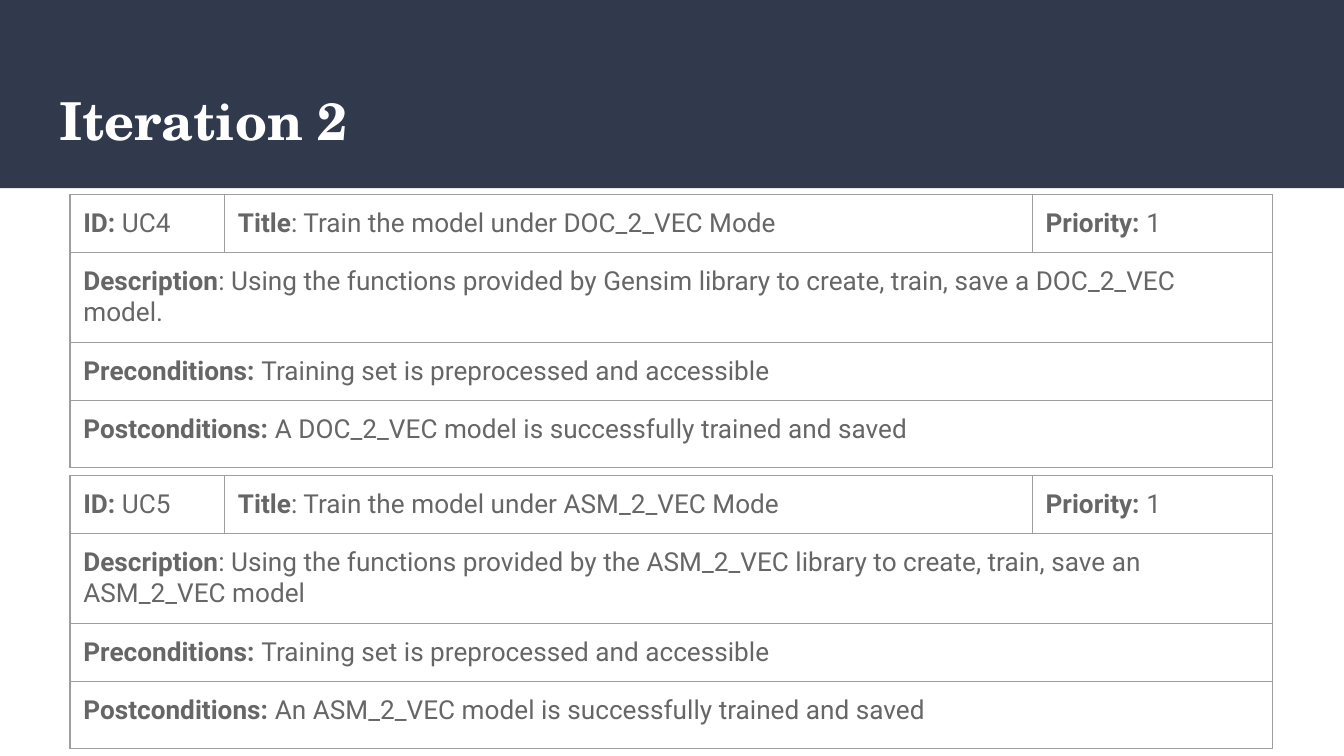
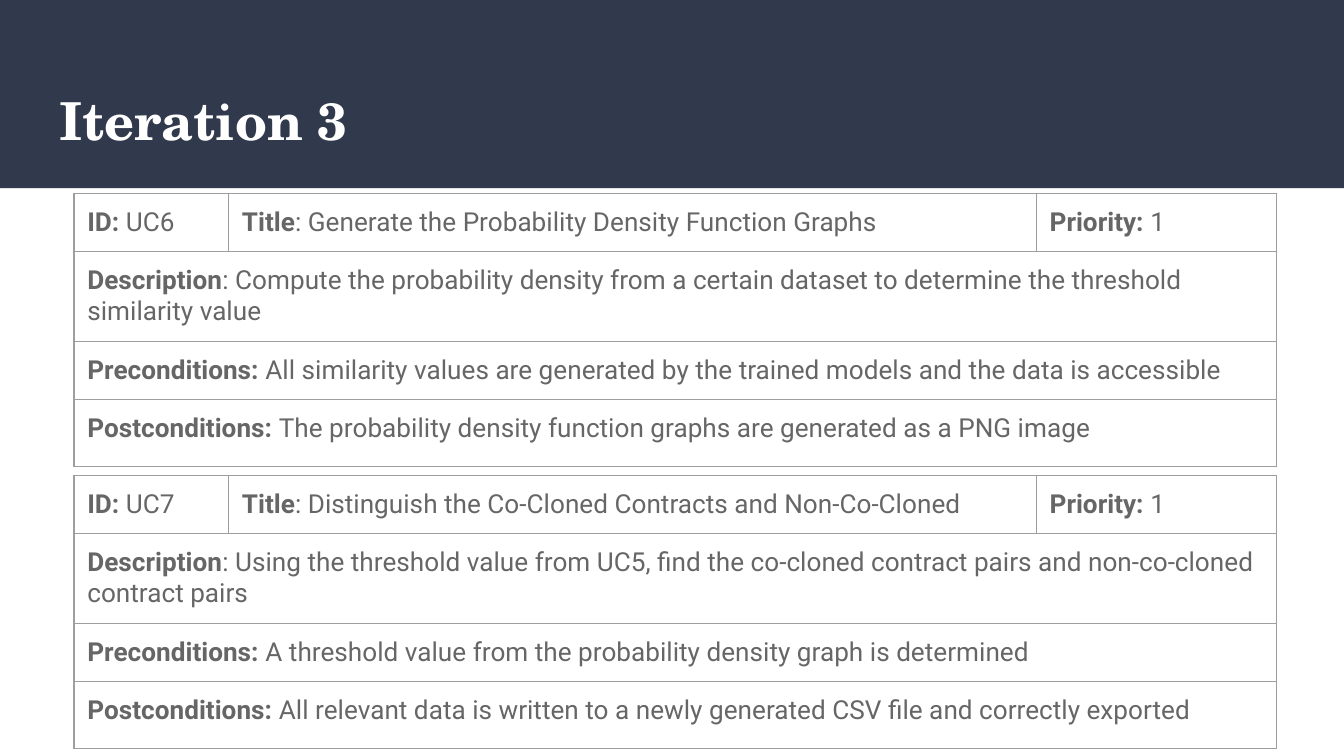
from lxml import etree
from pptx import Presentation
from pptx.dml.color import RGBColor
from pptx.enum.shapes import MSO_SHAPE
from pptx.enum.text import MSO_ANCHOR, PP_ALIGN
from pptx.oxml.ns import qn
from pptx.util import Inches, Pt

RECT = MSO_SHAPE.RECTANGLE
MIDDLE, TOP = MSO_ANCHOR.MIDDLE, MSO_ANCHOR.TOP
LEFT = PP_ALIGN.LEFT
TITLE_ONLY = 5

COLORS = {"band": "31394D", "title": "FFFFFF", "text": "666666", "border": "9E9E9E"}
TITLE_FONT, BODY_FONT = "TeX Gyre Schola", "Roboto"
COL_WIDTHS = [1.15, 3.78, 1.4, 0.83, 1.79]
ROW_HEIGHTS = [0.43, 0.67, 0.43, 0.5]
LAST_COL = len(COL_WIDTHS) - 1

# Each slide: title, table left, and use cases as
# (top, id, title, description, preconditions, postconditions)
SLIDES = [
    ("Iteration 2", 0.52, [
        (1.45, "UC4", "Train the model under DOC_2_VEC Mode",
         "Using the functions provided by Gensim library to create, train, save a DOC_2_VEC model.",
         "Training set is preprocessed and accessible",
         "A DOC_2_VEC model is successfully trained and saved"),
        (3.54, "UC5", "Train the model under ASM_2_VEC Mode",
         "Using the functions provided by the ASM_2_VEC library to create, train, save an "
         "ASM_2_VEC model",
         "Training set is preprocessed and accessible",
         "An ASM_2_VEC model is successfully trained and saved"),
    ]),
    ("Iteration 3", 0.55, [
        (1.44, "UC6", "Generate the Probability Density Function Graphs",
         "Compute the probability density from a certain dataset to determine the threshold "
         "similarity value",
         "All similarity values are generated by the trained models and the data is accessible",
         "The probability density function graphs are generated as a PNG image"),
        (3.54, "UC7", "Distinguish the Co-Cloned Contracts and Non-Co-Cloned",
         "Using the threshold value from UC5, find the co-cloned contract pairs and "
         "non-co-cloned contract pairs",
         "A threshold value from the probability density graph is determined",
         "All relevant data is written to a newly generated CSV file and correctly exported"),
    ]),
]


class Deck:
    def __init__(self):
        self.prs = Presentation()
        self.prs.slide_width = Inches(10)
        self.prs.slide_height = Inches(10) * 9 // 16
        self.s = None

    def add_slide(self, title):
        self.s = self.prs.slides.add_slide(self.prs.slide_layouts[TITLE_ONLY])
        self.band()
        self.title(title)

    def band(self):
        sp = self.s.shapes.add_shape(RECT, 0, 0, self.prs.slide_width, Inches(1.4))
        sp.shadow.inherit = False
        sp.fill.solid()
        sp.fill.fore_color.rgb = RGBColor.from_string(COLORS["band"])
        sp.line.fill.background()
        # Behind the title placeholder
        self.s.shapes.element.insert(2, sp.element)

    def title(self, text):
        sp = self.s.shapes.title
        sp.left, sp.top, sp.width, sp.height = map(Inches, (0.34, 0.55, 9.32, 0.68))
        tf = sp.text_frame
        tf.margin_left = tf.margin_right = tf.margin_top = tf.margin_bottom = Inches(0.1)
        tf.vertical_anchor, tf.word_wrap = MIDDLE, True
        p = tf.paragraphs[0]
        p.alignment = LEFT
        self.run(p, text, TITLE_FONT, 28, "title", True)

    def run(self, p, text, font, size, color, bold):
        r = p.add_run()
        r.text = text
        r.font.name, r.font.size, r.font.bold = font, Pt(size), bold
        r.font.color.rgb = RGBColor.from_string(COLORS[color])

    def borders(self, cell):
        tcPr = cell._tc.get_or_add_tcPr()
        for side in ("lnL", "lnR", "lnT", "lnB"):
            ln = etree.SubElement(tcPr, qn(f"a:{side}"), w=str(Pt(0.75)))
            fill = etree.SubElement(ln, qn("a:solidFill"))
            etree.SubElement(fill, qn("a:srgbClr"), val=COLORS["border"])

    def labelled(self, cell, label, text):
        """Write a bold label followed by plain text."""
        p = cell.text_frame.paragraphs[0]
        self.run(p, label, BODY_FONT, 14, "text", True)
        self.run(p, text, BODY_FONT, 14, "text", False)

    def use_case(self, left, top, uid, name, description, before, after):
        frame = self.s.shapes.add_table(
            len(ROW_HEIGHTS), len(COL_WIDTHS), Inches(left), Inches(top),
            Inches(sum(COL_WIDTHS)), Inches(sum(ROW_HEIGHTS)))
        table = frame.table
        table.first_row = table.horz_banding = False
        for col, width in zip(table.columns, COL_WIDTHS):
            col.width = Inches(width)
        for row, height in zip(table.rows, ROW_HEIGHTS):
            row.height = Inches(height)
        for cell in table.iter_cells():
            self.borders(cell)
            cell.fill.background()
            cell.margin_left = cell.margin_right = Inches(0.1)
            cell.margin_top = cell.margin_bottom = Inches(0.1)
            cell.vertical_anchor = TOP

        table.cell(0, 1).merge(table.cell(0, LAST_COL - 1))
        self.labelled(table.cell(0, 0), "ID: ", uid)
        self.labelled(table.cell(0, 1), "Title", f": {name}")
        self.labelled(table.cell(0, LAST_COL), "Priority:", " 1")
        details = [("Description", f": {description}"),
                   ("Preconditions: ", before),
                   ("Postconditions: ", after)]
        for i, (label, text) in enumerate(details, start=1):
            table.cell(i, 0).merge(table.cell(i, LAST_COL))
            self.labelled(table.cell(i, 0), label, text)


def main():
    deck = Deck()
    for title, left, use_cases in SLIDES:
        deck.add_slide(title)
        for top, *fields in use_cases:
            deck.use_case(left, top, *fields)
    deck.prs.save("out.pptx")


if __name__ == "__main__":
    main()
